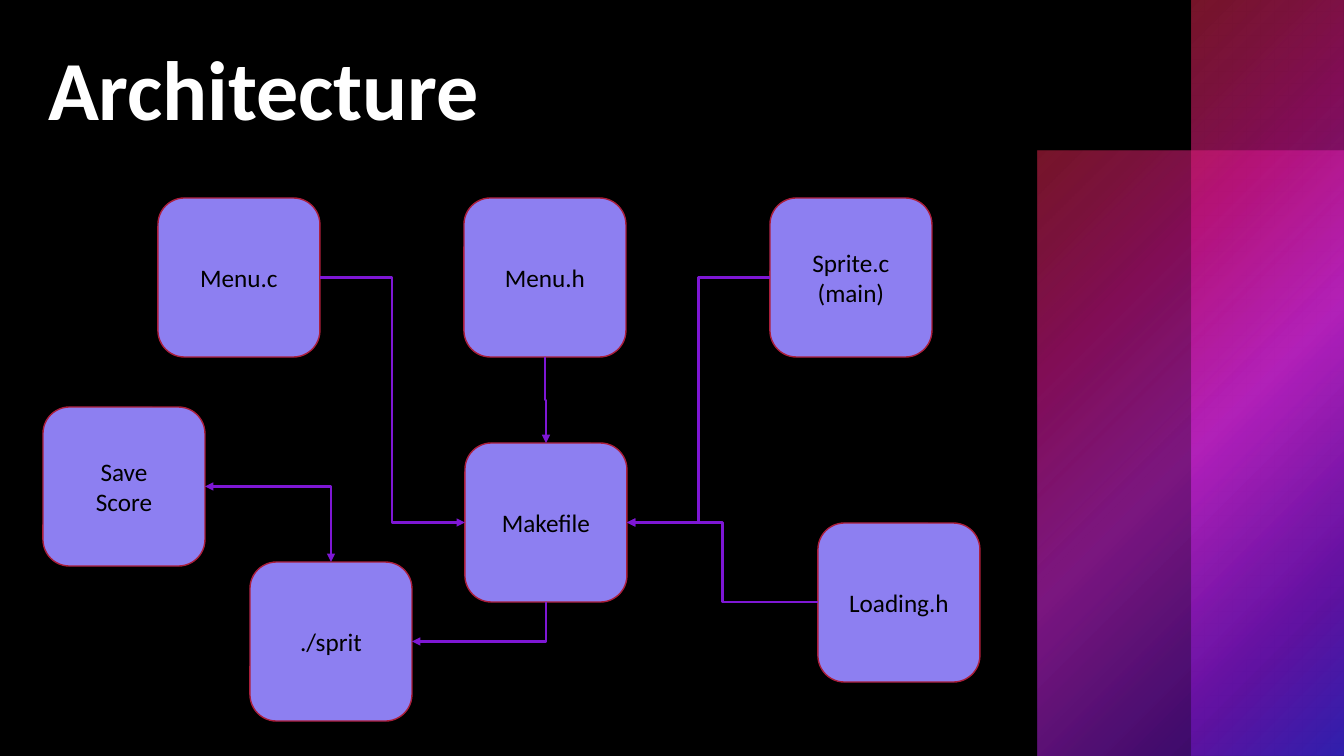
from dataclasses import dataclass

from lxml import etree
from pptx import Presentation
from pptx.dml.color import RGBColor
from pptx.enum.shapes import MSO_CONNECTOR, MSO_SHAPE
from pptx.enum.text import MSO_ANCHOR, MSO_AUTO_SIZE, PP_ALIGN
from pptx.oxml import parse_xml
from pptx.oxml.ns import nsdecls, qn
from pptx.util import Emu, Pt

ELBOW = MSO_CONNECTOR.ELBOW
RECT, ROUND = MSO_SHAPE.RECTANGLE, MSO_SHAPE.ROUNDED_RECTANGLE
TOP, MIDDLE = MSO_ANCHOR.TOP, MSO_ANCHOR.MIDDLE
LEFT, CENTER = PP_ALIGN.LEFT, PP_ALIGN.CENTER
NO_FIT = MSO_AUTO_SIZE.NONE

# Connection sites of a rounded rectangle
NORTH, WEST, SOUTH, EAST = range(4)


@dataclass(frozen=True)
class Theme:
    font: str = "Calibri"
    back: str = "000000"
    title: str = "FFFFFF"
    text: str = "000000"
    node: str = "8D7FF1"
    edge: str = "AB1E3B"
    link: str = "7E17D5"
    title_size: int = 60
    node_size: int = 18
    edge_width: float = 1
    link_width: float = 1.5
    # position %, colour, opacity %
    glow: tuple = (
        (0, "E72950", 50),
        (25, "D5178E", 60),
        (50, "DF29E7", 55),
        (81, "7E17D5", 50),
        (99, "4129E7", 50),
    )


THEME = Theme()
WIDE, HIGH = 1344, 756
NODE_W, NODE_H = 162, 159
ROW_X, ROW_Y, STEP = 158, 198, 306


def px(count):
    return Emu(round(count * 914400 / 100.8))


def rgb(code):
    return RGBColor.from_string(code)


def write(frame, lines, size, color, align, bold=False):
    for i, line in enumerate(lines):
        para = frame.paragraphs[0] if i == 0 else frame.add_paragraph()
        para.alignment = align
        run = para.add_run()
        run.text = line
        run.font.name = THEME.font
        run.font.size = Pt(size)
        run.font.bold = bold
        run.font.color.rgb = rgb(color)


def add_title(slide, box, text):
    title = slide.shapes.title
    title.left, title.top, title.width, title.height = map(px, box)
    frame = title.text_frame
    frame.auto_size = NO_FIT
    frame.word_wrap = True
    frame.vertical_anchor = TOP
    write(frame, [text], THEME.title_size, THEME.title, LEFT, bold=True)


def add_panel(slide, box):
    """Place a see-through panel that glows out of its top left corner."""
    panel = slide.shapes.add_shape(RECT, *map(px, box))
    panel.shadow.inherit = False
    panel.line.fill.background()
    stops = "".join(
        f'<a:gs pos="{spot * 1000}"><a:srgbClr val="{color}">'
        f'<a:alpha val="{alpha * 1000}"/></a:srgbClr></a:gs>'
        for spot, color, alpha in THEME.glow
    )
    fill = parse_xml(
        f'<a:gradFill {nsdecls("a")} rotWithShape="1"><a:gsLst>{stops}</a:gsLst>'
        '<a:path path="circle"><a:fillToRect r="100000" b="100000"/></a:path>'
        '<a:tileRect l="-100000" t="-100000"/></a:gradFill>'
    )
    panel.element.spPr.find(qn("a:prstGeom")).addnext(fill)


def add_node(slide, x, y, *lines):
    node = slide.shapes.add_shape(ROUND, px(x), px(y), px(NODE_W), px(NODE_H))
    node.shadow.inherit = False
    node.fill.solid()
    node.fill.fore_color.rgb = rgb(THEME.node)
    node.line.color.rgb = rgb(THEME.edge)
    node.line.width = Pt(THEME.edge_width)
    frame = node.text_frame
    frame.word_wrap = True
    frame.vertical_anchor = MIDDLE
    write(frame, lines, THEME.node_size, THEME.text, CENTER)
    return node


def turn(link):
    """Rotate an elbow so that it leaves its start downwards."""
    x1, y1, x2, y2 = link.begin_x, link.begin_y, link.end_x, link.end_y
    wide, high = abs(y2 - y1), abs(x2 - x1)
    link.left = Emu((x1 + x2 - wide) // 2)
    link.top = Emu((y1 + y2 - high) // 2)
    link.width, link.height = Emu(wide), Emu(high)
    frame = link.element.spPr.find(qn("a:xfrm"))
    frame.set("rot", "5400000")
    frame.set("flipH", "0")
    frame.set("flipV", "1" if x2 > x1 else "0")


def add_link(slide, start, out, end, into, both=False):
    link = slide.shapes.add_connector(ELBOW, 0, 0, 0, 0)
    link.begin_connect(start, out)
    link.end_connect(end, into)
    link.line.color.rgb = rgb(THEME.link)
    link.line.width = Pt(THEME.link_width)
    props = link.element.spPr
    if out % 2 != into % 2:
        props.find(qn("a:prstGeom")).set("prst", "bentConnector2")
    if out == SOUTH:
        turn(link)
    line = props.find(qn("a:ln"))
    for tip in ("a:headEnd", "a:tailEnd") if both else ("a:tailEnd",):
        etree.SubElement(line, qn(tip)).set("type", "triangle")
    etree.SubElement(props, qn("a:effectLst"))


def add_chart_of_files(slide):
    menu_c, menu_h, sprite = (
        add_node(slide, ROW_X + i * STEP, ROW_Y, *lines)
        for i, lines in enumerate([["Menu.c"], ["Menu.h"], ["Sprite.c", "(main)"]])
    )
    make = add_node(slide, 465, 443, "Makefile")
    game = add_node(slide, 250, 562, "./sprit")
    score = add_node(slide, 43, 407, "Save", "Score")
    loading = add_node(slide, 818, 523, "Loading.h")

    add_link(slide, menu_c, EAST, make, WEST)
    add_link(slide, menu_h, SOUTH, make, NORTH)
    add_link(slide, sprite, WEST, make, EAST)
    add_link(slide, make, SOUTH, game, EAST)
    add_link(slide, score, EAST, game, NORTH, both=True)
    add_link(slide, loading, WEST, make, EAST)


def main():
    deck = Presentation()
    deck.slide_width, deck.slide_height = px(WIDE), px(HIGH)
    slide = deck.slides.add_slide(deck.slide_layouts[5])
    back = slide.background.fill
    back.solid()
    back.fore_color.rgb = rgb(THEME.back)

    add_title(slide, (38, 31, 870, 380), "Architecture")
    for wide, high in ((306, 605), (152, HIGH)):
        add_panel(slide, (WIDE - wide, HIGH - high, wide, high))
    add_chart_of_files(slide)
    deck.save("out.pptx")


if __name__ == "__main__":
    main()
